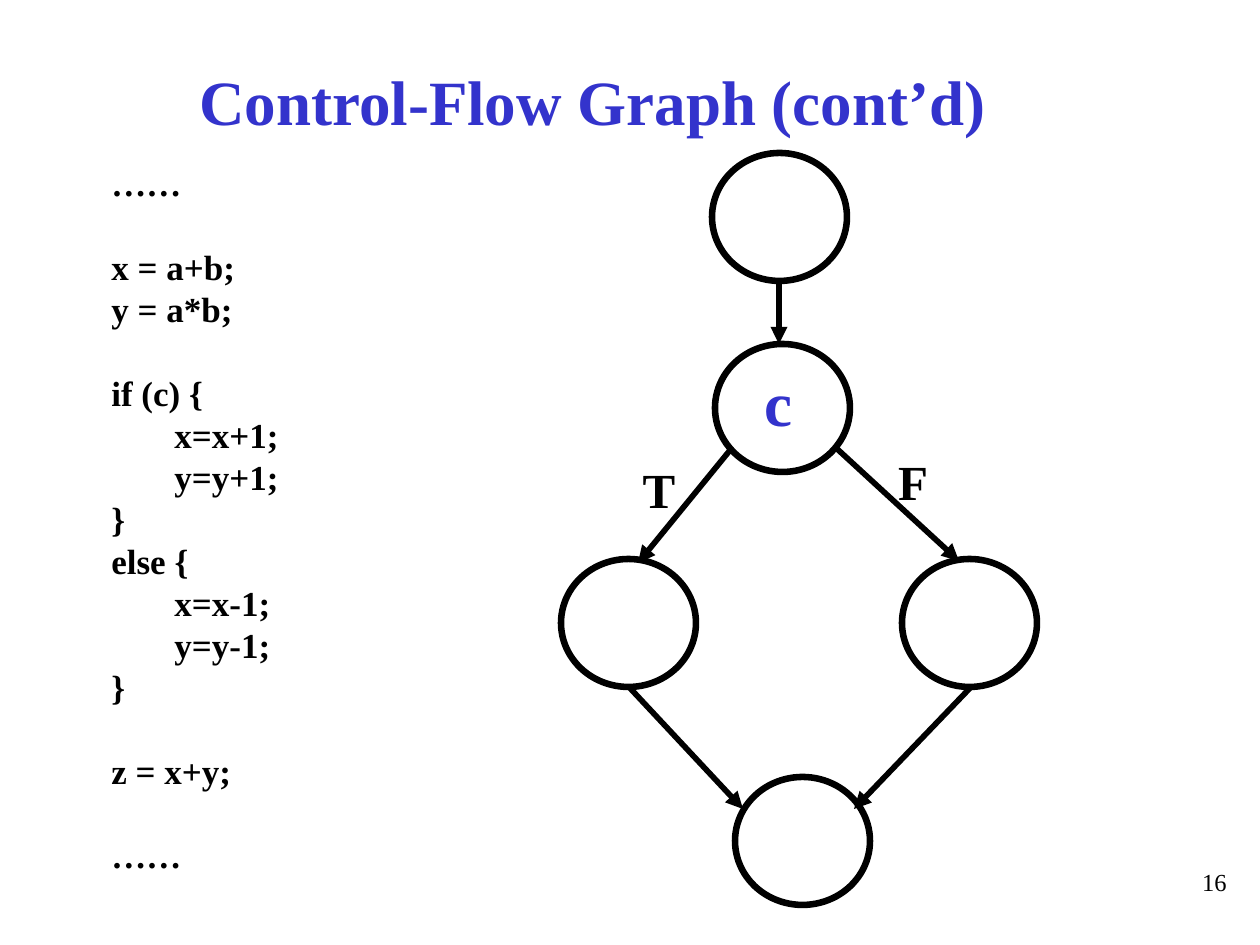
import pptx
import pptx.dml.color
import pptx.enum.shapes
import pptx.enum.text
import pptx.oxml.ns
import pptx.util
from lxml import etree

BLACK = pptx.dml.color.RGBColor(0x00, 0x00, 0x00)
BLUE = pptx.dml.color.RGBColor(0x33, 0x33, 0xCC)
FONT = "Times New Roman"
PX_PER_INCH = 126
ALIGN = pptx.enum.text.PP_ALIGN
ANCHOR = pptx.enum.text.MSO_ANCHOR

CODE_BLOCKS = [
    ["……"],
    ["x = a+b;", "y = a*b;"],
    ["if (c) {", "\tx=x+1;", "\ty=y+1;", "}",
     "else {", "\tx=x-1;", "\ty=y-1;", "}"],
    ["z = x+y;"],
    ["……"],
]
NODE_SIZE = (135, 128)
NODES = [(152, 0), (155, 191), (1, 406), (342, 406), (175, 624)]
EDGES = [
    ((219, 129), (219, 191)),
    ((171, 296), (78, 410)),
    ((275, 294), (399, 408)),
    ((69, 534), (183, 656)),
    ((411, 534), (294, 656)),
]


def px(length):
    return pptx.util.Emu(round(length * 914400 / PX_PER_INCH))


def add_text(page, box, text, *, size, color=BLACK, bold=True,
             align=ALIGN.CENTER, anchor=ANCHOR.MIDDLE):
    frame = page.shapes.add_textbox(*map(px, box)).text_frame
    frame.word_wrap = True
    frame.vertical_anchor = anchor
    frame.text = text
    for para in frame.paragraphs:
        para.alignment = align
        font = para.font
        font.name, font.size, font.bold = FONT, pptx.util.Pt(size), bold
        font.color.rgb = color
    return frame


def add_node(page, left, top):
    node = page.shapes.add_shape(
        pptx.enum.shapes.MSO_SHAPE.OVAL, *map(px, (left, top, *NODE_SIZE)))
    node.shadow.inherit = False
    node.fill.background()
    node.line.color.rgb = BLACK
    node.line.width = pptx.util.Pt(3.75)


def add_arrow(page, start, end):
    arrow = page.shapes.add_connector(
        pptx.enum.shapes.MSO_CONNECTOR.STRAIGHT, *map(px, (*start, *end)))
    arrow.line.color.rgb = BLACK
    arrow.line.width = pptx.util.Pt(3.25)
    line = arrow.line._get_or_add_ln()
    etree.SubElement(line, pptx.oxml.ns.qn("a:tailEnd"), type="triangle")
    etree.SubElement(arrow._element.spPr, pptx.oxml.ns.qn("a:effectLst"))


def add_code(page, box):
    lines = [line for block in CODE_BLOCKS for line in block]
    frame = add_text(page, box, "\n".join(lines), size=20,
                     align=ALIGN.JUSTIFY, anchor=ANCHOR.TOP)
    for para in frame.paragraphs:
        para.line_spacing = pptx.util.Pt(24)
    first = 0
    for block in CODE_BLOCKS[:-1]:
        first += len(block)
        frame.paragraphs[first].space_before = pptx.util.Pt(24)


def add_graph(page, left, top):
    for x, y in NODES:
        add_node(page, left + x, top + y)
    for start, end in EDGES:
        add_arrow(page, (left + start[0], top + start[1]),
                  (left + end[0], top + end[1]))
    add_text(page, (left + 184, top + 221, 69, 55), "c", size=36, color=BLUE)
    for text, x, y in [("T", 62, 301), ("F", 316, 293)]:
        add_text(page, (left + x, top + y, 74, 69), text, size=28)


def main():
    deck = pptx.Presentation()
    deck.slide_width, deck.slide_height = px(1260), px(945)
    page = deck.slides.add_slide(deck.slide_layouts[6])
    add_text(page, (57, 32, 1071, 137), "Control-Flow Graph (cont’d)",
             size=36, color=BLUE)
    add_code(page, (99, 155, 451, 733))
    add_graph(page, 560, 153)
    add_text(page, (1133, 861, 106, 63), "16", size=14, bold=False,
             align=ALIGN.RIGHT, anchor=ANCHOR.TOP)
    deck.save("out.pptx")


if __name__ == "__main__":
    main()
